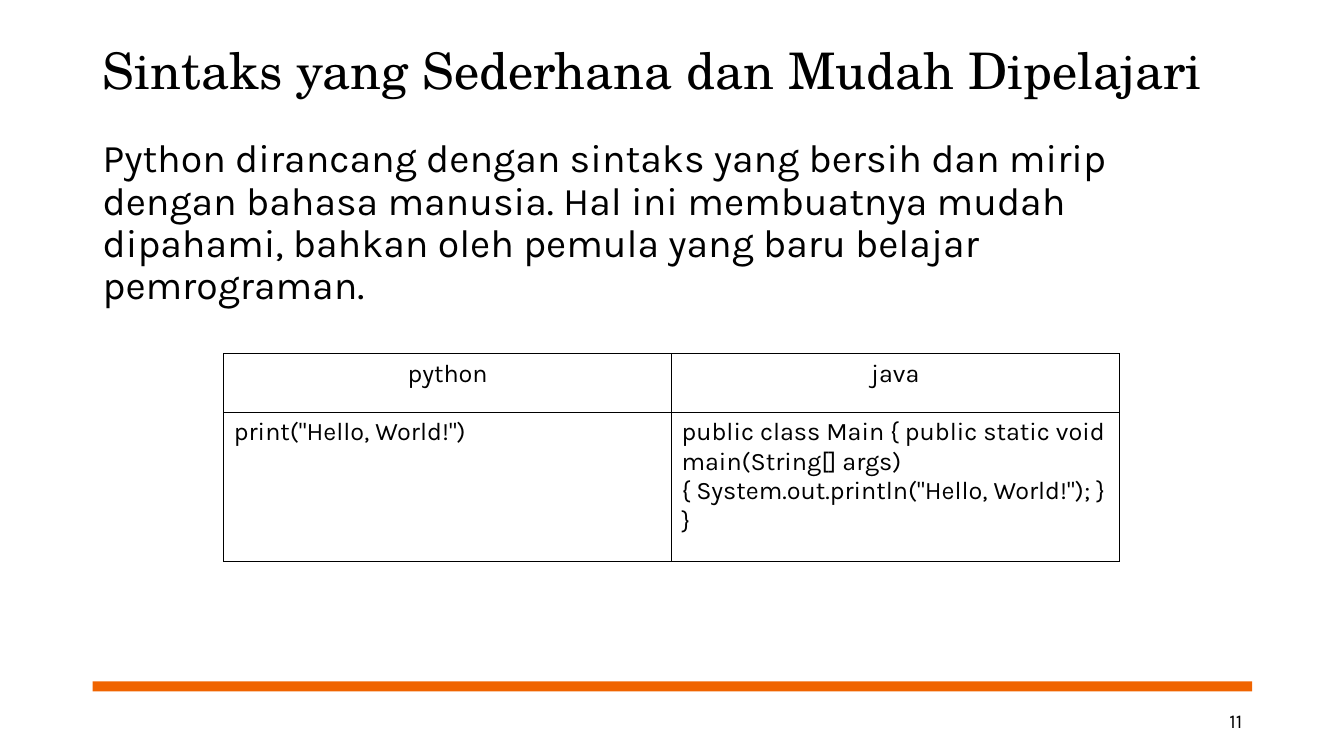
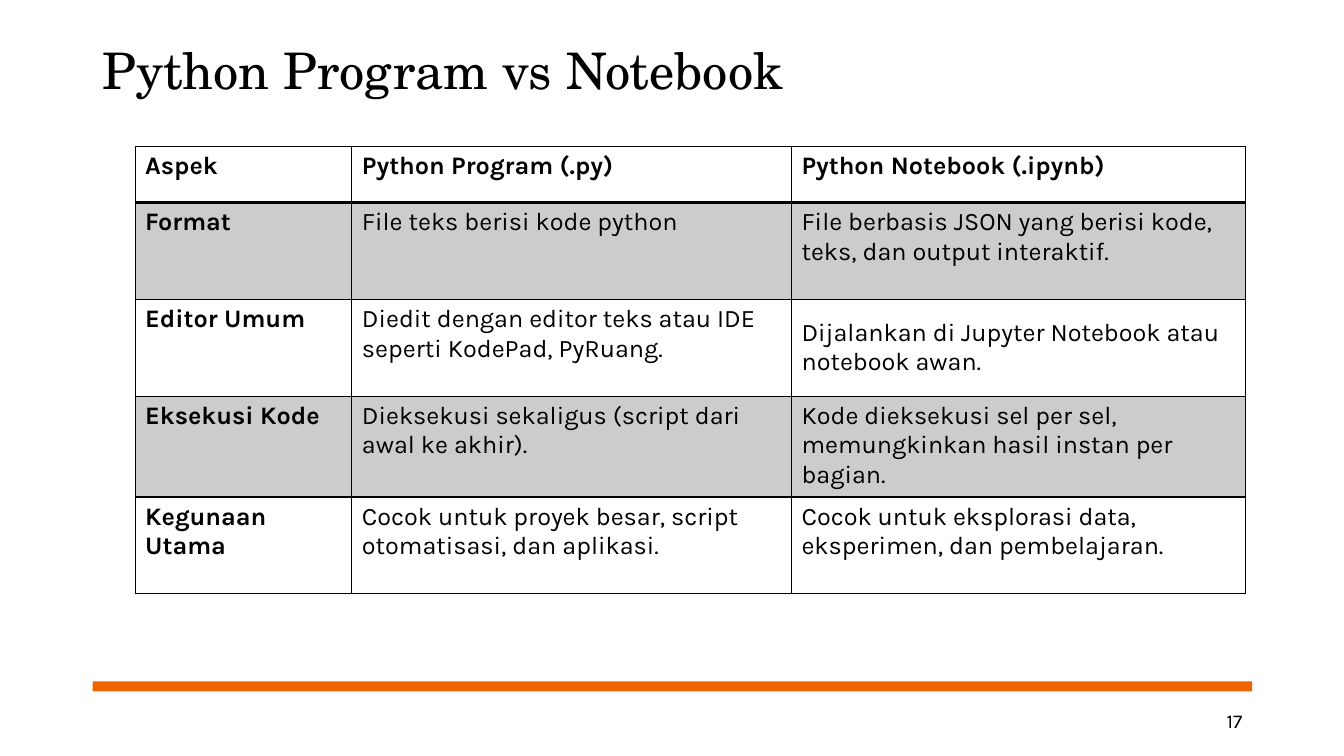
from dataclasses import dataclass

from lxml.etree import SubElement
from pptx import Presentation
from pptx.dml.color import RGBColor
from pptx.enum.shapes import MSO_SHAPE as Shape
from pptx.enum.text import MSO_ANCHOR as Anchor, MSO_AUTO_SIZE as Fit, PP_ALIGN as Align
from pptx.oxml.ns import qn
from pptx.util import Inches, Pt

# Shared style
HEX = {"ink": "000000", "bar": "F06400", "band": "CCCCCC"}
HEAD, BODY = "TeX Gyre Schola", "Karla"
LEFT, WIDE = 0.92, 11.5


@dataclass
class Grid:
    left: float
    top: float
    cols: list[float]
    rows: list[float]
    cells: list[list[str]]
    centre: bool = False  # centred first row
    bold: bool = False  # bold first row and column
    band: bool = False  # grey every second row
    rule: float = 1  # line below the first row
    middle: tuple = ()  # cells anchored in the middle


def tint(name: str) -> RGBColor:
    return RGBColor.from_string(HEX[name])


def write(frame, text: str, size: float, face: str = BODY, align=Align.LEFT,
          bold: bool = False, lead: float = 1.0) -> None:
    frame.word_wrap = True
    para = frame.paragraphs[0]
    para.text = text
    para.alignment = align
    para.line_spacing = lead
    font = para.font
    font.name, font.size, font.bold = face, Pt(size), bold
    font.color.rgb = tint("ink")


def add_box(slide, left: float, top: float, width: float, height: float):
    box = slide.shapes.add_textbox(Inches(left), Inches(top), Inches(width), Inches(height))
    return box.text_frame


def add_page(deck, title: str, number: int):
    """Slide with title, bottom bar and page number."""
    slide = deck.slides.add_slide(deck.slide_layouts[5])
    for old in list(slide.placeholders)[1:]:
        old.element.getparent().remove(old.element)

    head = slide.shapes.title
    head.left, head.top = Inches(LEFT), Inches(0.24)
    head.width, head.height = Inches(WIDE), Inches(0.98)
    frame = head.text_frame
    frame.auto_size = Fit.NONE
    frame.vertical_anchor = Anchor.MIDDLE
    write(frame, title, 36, HEAD, lead=0.9)

    bar = slide.shapes.add_shape(Shape.RECTANGLE, Inches(LEFT), Inches(6.76),
                                 Inches(WIDE), Inches(0.1))
    bar.shadow.inherit = False
    bar.fill.solid()
    bar.fill.fore_color.rgb = tint("bar")
    bar.line.fill.background()

    foot = add_box(slide, 9.42, 6.95, 3, 0.4)
    foot.vertical_anchor = Anchor.MIDDLE
    write(foot, str(number), 14, align=Align.RIGHT)
    return slide


def add_edges(cell, top: float, base: float) -> None:
    props = cell._tc.get_or_add_tcPr()
    for side, width in (("L", 1), ("R", 1), ("T", top), ("B", base)):
        line = SubElement(props, qn(f"a:ln{side}"), w=str(Pt(width)))
        fill = SubElement(line, qn("a:solidFill"))
        SubElement(fill, qn("a:srgbClr"), val=HEX["ink"])


def add_grid(slide, grid: Grid) -> None:
    table = slide.shapes.add_table(
        len(grid.rows), len(grid.cols), Inches(grid.left), Inches(grid.top),
        Inches(sum(grid.cols)), Inches(sum(grid.rows))).table
    table.first_row = table.horz_banding = False
    for col, width in zip(table.columns, grid.cols):
        col.width = Inches(width)
    for r, texts in enumerate(grid.cells):
        table.rows[r].height = Inches(grid.rows[r])
        for c, text in enumerate(texts):
            cell = table.cell(r, c)
            add_edges(cell, grid.rule if r == 1 else 1, grid.rule if r == 0 else 1)
            if grid.band and r % 2:
                cell.fill.solid()
                cell.fill.fore_color.rgb = tint("band")
            else:
                cell.fill.background()
            if (r, c) in grid.middle:
                cell.vertical_anchor = Anchor.MIDDLE
            align = Align.CENTER if grid.centre and r == 0 else Align.LEFT
            write(cell.text_frame, text, 18, align=align,
                  bold=grid.bold and (r == 0 or c == 0))


# Content
INTRO = ("Python dirancang dengan sintaks yang bersih dan mirip dengan bahasa manusia. "
         "Hal ini membuatnya mudah dipahami, bahkan oleh pemula yang baru belajar "
         "pemrograman.")

CODE = Grid(2.22, 3.51, [4.44] * 2, [0.58, 1.48], [
    ["python", "java"],
    ['print("Hello, World!")',
     "public class Main { public static void main(String[] args) "
     '{ System.out.println("Hello, World!"); } }'],
], centre=True)

TYPES = Grid(1.34, 1.45, [2.15, 4.36, 4.5], [0.56] + [0.96] * 4, [
    ["Aspek", "Python Program (.py)", "Python Notebook (.ipynb)"],
    ["Format", "File teks berisi kode python",
     "File berbasis JSON yang berisi kode, teks, dan output interaktif."],
    ["Editor Umum", "Diedit dengan editor teks atau IDE seperti KodePad, PyRuang.",
     "Dijalankan di Jupyter Notebook atau notebook awan."],
    ["Eksekusi Kode", "Dieksekusi sekaligus (script dari awal ke akhir).",
     "Kode dieksekusi sel per sel, memungkinkan hasil instan per bagian."],
    ["Kegunaan Utama", "Cocok untuk proyek besar, script otomatisasi, dan aplikasi.",
     "Cocok untuk eksplorasi data, eksperimen, dan pembelajaran."],
], bold=True, band=True, rule=2, middle=((2, 2),))


def main() -> None:
    deck = Presentation()
    deck.slide_width, deck.slide_height = Inches(13.33), Inches(7.5)

    # Simple syntax
    slide = add_page(deck, "Sintaks yang Sederhana dan Mudah Dipelajari", 11)
    write(add_box(slide, LEFT, 1.33, WIDE, 2.06), INTRO, 28, lead=0.9)
    add_grid(slide, CODE)

    # Program and notebook compared
    slide = add_page(deck, "Python Program vs Notebook", 17)
    add_grid(slide, TYPES)

    deck.save("out.pptx")


if __name__ == "__main__":
    main()
